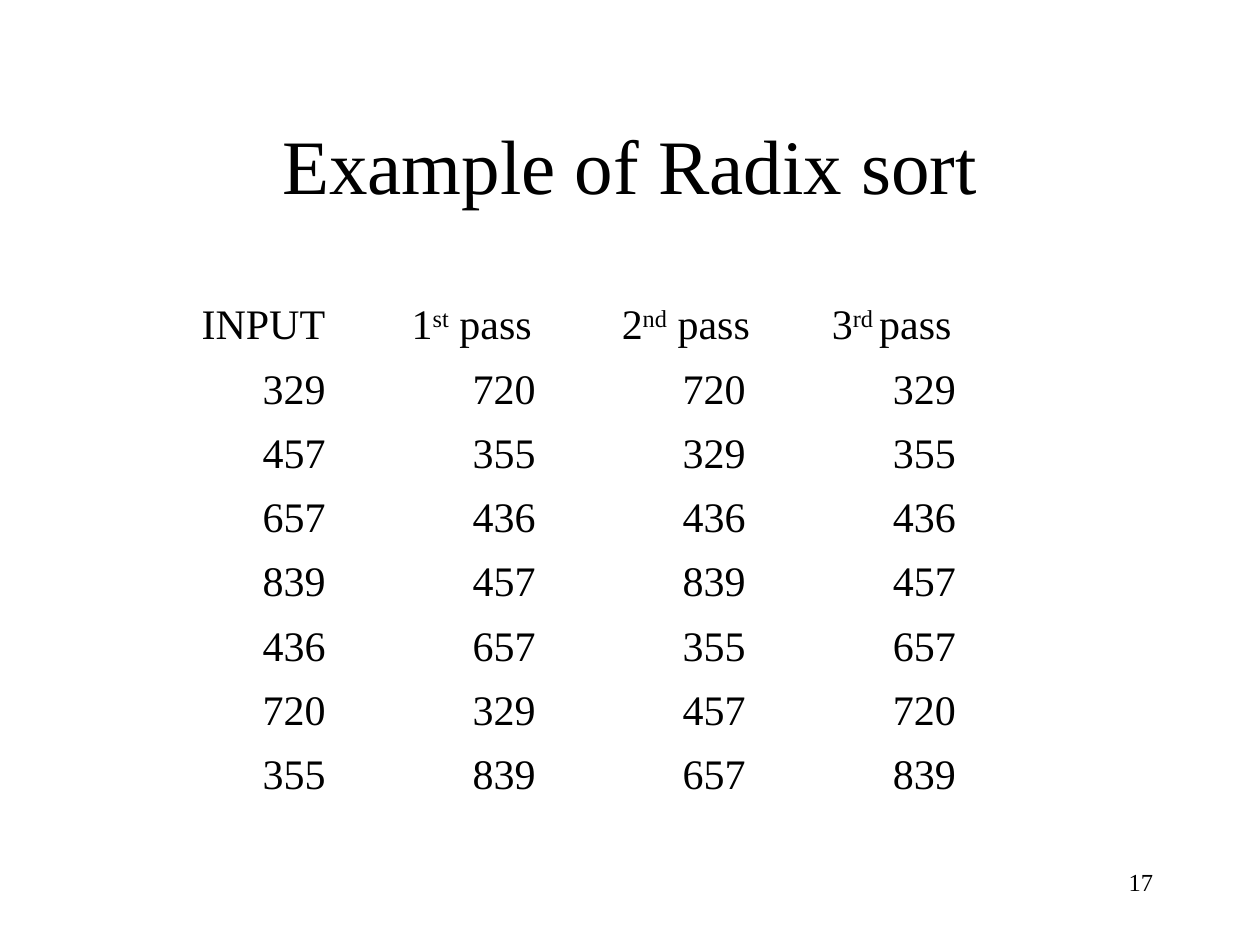
from pptx import Presentation
from pptx.dml.color import RGBColor
from pptx.enum.text import MSO_ANCHOR as Anchor, PP_ALIGN as Align
from pptx.util import Inches, Pt

BLACK = RGBColor(0, 0, 0)
FONT = "Times New Roman"
HEADERS = [("INPUT",), ("1", "st", " pass"), ("2", "nd", " pass"), ("3", "rd ", "pass")]
PASSES = [
    (329, 720, 720, 329),
    (457, 355, 329, 355),
    (657, 436, 436, 436),
    (839, 457, 839, 457),
    (436, 657, 355, 657),
    (720, 329, 457, 720),
    (355, 839, 657, 839),
]


def style_paragraph(paragraph, size, alignment):
    """Set the font and alignment of a paragraph."""
    paragraph.alignment = alignment
    paragraph.font.name = FONT
    paragraph.font.size = Pt(size)
    paragraph.font.color.rgb = BLACK


def add_text(slide, text, box, size, alignment, anchor):
    """Add a wrapped one-paragraph text box."""
    frame = slide.shapes.add_textbox(*map(Inches, box)).text_frame
    frame.word_wrap = True
    frame.vertical_anchor = anchor
    paragraph = frame.paragraphs[0]
    paragraph.add_run().text = text
    style_paragraph(paragraph, size, alignment)


def fill_cell(cell, parts, alignment):
    """Write text parts into a clear cell, raising the second part."""
    cell.fill.background()
    cell.vertical_anchor = Anchor.MIDDLE
    paragraph = cell.text_frame.paragraphs[0]
    style_paragraph(paragraph, 24, alignment)
    for index, part in enumerate(parts):
        run = paragraph.add_run()
        run.text = part
        if index == 1:
            run.font._element.set("baseline", "30000")


def add_pass_table(slide):
    """Add the table of the input and the three sorting passes."""
    rows = [[(str(number),) for number in row] for row in PASSES]
    frame = slide.shapes.add_table(
        len(rows) + 1, len(HEADERS), Inches(1.5), Inches(2.33), Inches(6.67), Inches(4.08)
    )
    table = frame.table
    table.first_row = table.horz_banding = False
    for row_index, row in enumerate([HEADERS] + rows):
        alignment = Align.CENTER if row_index else Align.LEFT
        for column_index, parts in enumerate(row):
            fill_cell(table.cell(row_index, column_index), parts, alignment)


def main():
    """Build and save the slide."""
    presentation = Presentation()
    presentation.slide_width, presentation.slide_height = Inches(10), Inches(7.5)
    slide = presentation.slides.add_slide(presentation.slide_layouts[6])
    add_text(slide, "Example of Radix sort", (0.75, 0.67, 8.5, 1.25), 44, Align.CENTER, Anchor.MIDDLE)
    add_pass_table(slide)
    add_text(slide, "17", (7.17, 6.83, 2.08, 0.5), 14, Align.RIGHT, Anchor.TOP)
    presentation.save("out.pptx")


if __name__ == "__main__":
    main()
